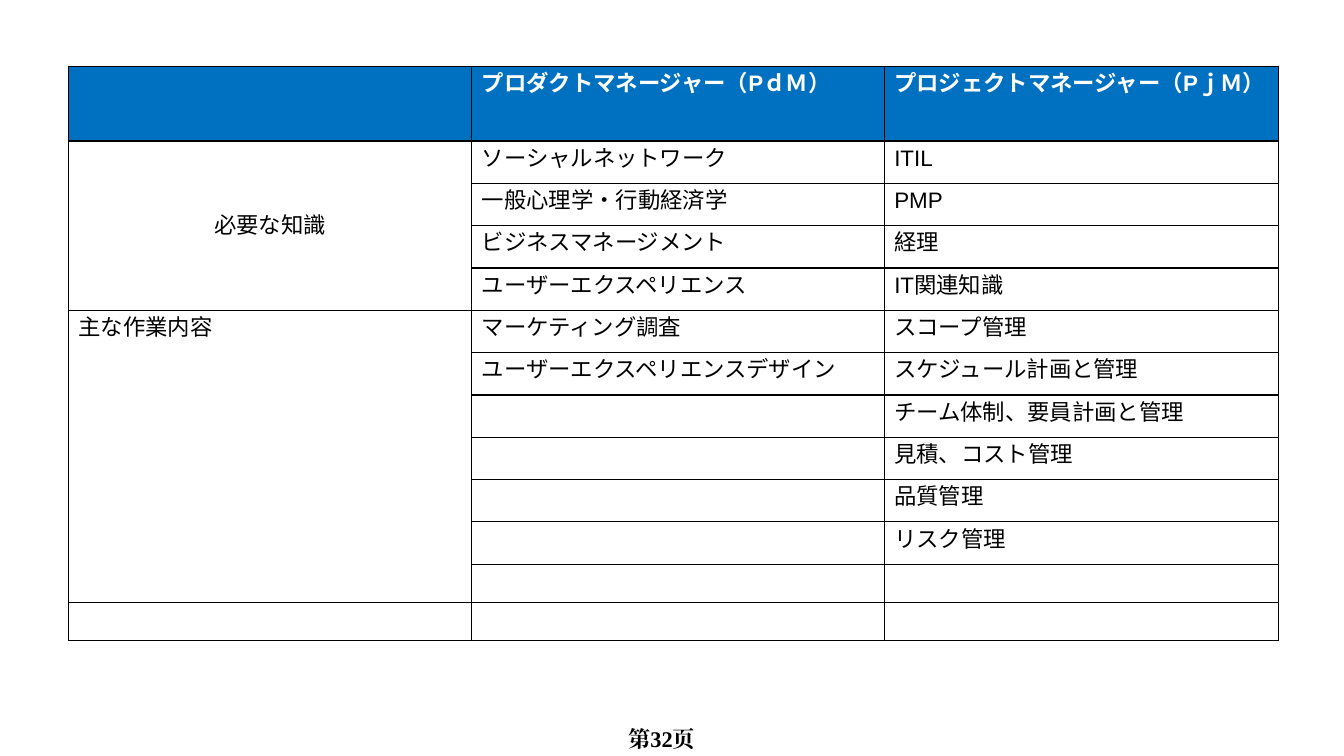
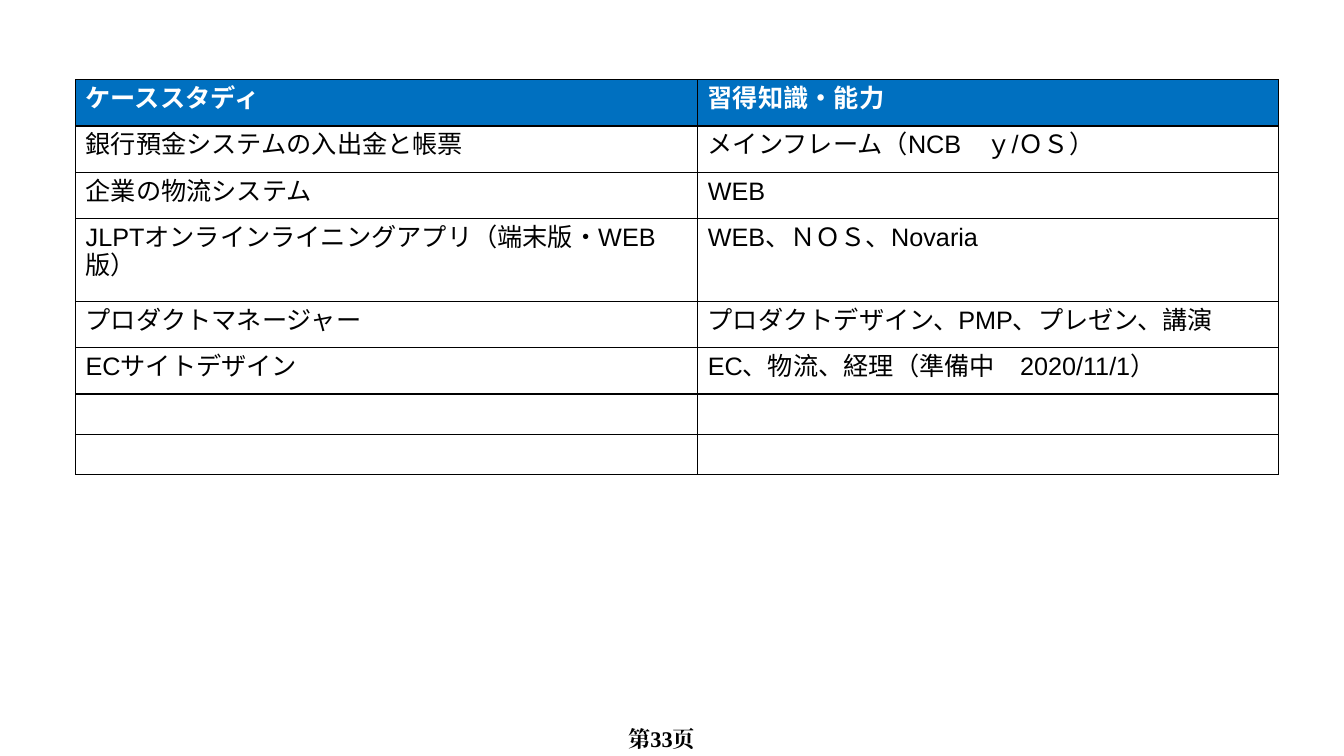
"""Build two table slides on manager roles and case studies."""
import pptx
import pptx.dml.color
import pptx.enum.text
import pptx.oxml
import pptx.oxml.ns
import pptx.util
from lxml import etree

Inches = pptx.util.Inches
BLUE = pptx.dml.color.RGBColor(0x00, 0x70, 0xC0)
BLACK = pptx.dml.color.RGBColor(0x00, 0x00, 0x00)
WHITE = pptx.dml.color.RGBColor(0xFF, 0xFF, 0xFF)
SANS = "Arial"
SERIF = "Times New Roman"

ROLES = [
    ("", "プロダクトマネージャー（PｄＭ）", "プロジェクトマネージャー（PｊＭ）"),
    ("必要な知識", "ソーシャルネットワーク", "ITIL"),
    ("", "一般心理学・行動経済学", "PMP"),
    ("", "ビジネスマネージメント", "経理"),
    ("", "ユーザーエクスペリエンス", "IT関連知識"),
    ("主な作業内容", "マーケティング調査", "スコープ管理"),
    ("", "ユーザーエクスペリエンスデザイン", "スケジュール計画と管理"),
    ("", "", "チーム体制、要員計画と管理"),
    ("", "", "見積、コスト管理"),
    ("", "", "品質管理"),
    ("", "", "リスク管理"),
    ("", "", ""),
    ("", "", ""),
]
CASES = [
    ("ケーススタディ", "習得知識・能力"),
    ("銀行預金システムの入出金と帳票", "メインフレーム（NCB　ｙ/ＯＳ）"),
    ("企業の物流システム", "WEB"),
    ("JLPTオンラインライニングアプリ（端末版・WEB版）", "WEB、ＮＯＳ、Novaria"),
    ("プロダクトマネージャー", "プロダクトデザイン、PMP、プレゼン、講演"),
    ("ECサイトデザイン", "EC、物流、経理（準備中　2020/11/1）"),
    ("", ""),
    ("", ""),
]
ROLE_ROWS = [0.74] + [0.42] * 10 + [0.38] * 2
CASE_ROWS = [0.46] * 3 + [0.82] + [0.46] * 2 + [0.4] * 2


def write(frame, text, size=16, face=SANS, color=BLACK, bold=False, align=None):
    """Put formatted text into the first paragraph of a frame."""
    para = frame.paragraphs[0]
    para.alignment = align
    if not text:
        tag = pptx.oxml.ns.qn("a:endParaRPr")
        etree.SubElement(para._p, tag, sz=str(size * 100))
        return
    run = para.add_run()
    run.text = text
    font = run.font
    font.size = pptx.util.Pt(size)
    font.name = face
    font.bold = bold
    font.color.rgb = color
    tag = pptx.oxml.ns.qn("a:ea")
    etree.SubElement(run._r.get_or_add_rPr(), tag, typeface=face)


def edge(cell, width=1):
    """Draw a black line on each side of a cell."""
    props = cell._tc.get_or_add_tcPr()
    space = pptx.oxml.ns.nsdecls("a")
    for side in "LRTB":
        props.append(pptx.oxml.parse_xml(
            f'<a:ln{side} {space} w="{pptx.util.Pt(width)}">'
            f'<a:solidFill><a:srgbClr val="{BLACK}"/></a:solidFill></a:ln{side}>'))


def grid(slide, rows, left, top, widths, heights, size):
    """Add a ruled table with a blue header row."""
    frame = slide.shapes.add_table(
        len(rows), len(widths), Inches(left), Inches(top),
        Inches(sum(widths)), Inches(sum(heights)))
    table = frame.table
    table.horz_banding = False
    for col, width in zip(table.columns, widths):
        col.width = Inches(width)
    for i, (row, height) in enumerate(zip(rows, heights)):
        table.rows[i].height = Inches(height)
        for j, text in enumerate(row):
            cell = table.cell(i, j)
            edge(cell)
            head = i == 0
            if head:
                cell.fill.solid()
                cell.fill.fore_color.rgb = BLUE
            else:
                cell.fill.background()
            write(cell.text_frame, text, size=size, bold=head,
                  color=WHITE if head else BLACK)
    return table


def span(table, first, last):
    """Merge rows of the first column and return the merged cell."""
    cell = table.cell(first, 0)
    cell.merge(table.cell(last, 0))
    return cell


def page(deck, number):
    """Add a blank slide with its page number."""
    slide = deck.slides.add_slide(deck.slide_layouts[6])
    box = slide.shapes.add_textbox(
        Inches(6.23), Inches(7.19), Inches(0.86), Inches(0.25))
    frame = box.text_frame
    frame.word_wrap = True
    frame.auto_size = pptx.enum.text.MSO_AUTO_SIZE.SHAPE_TO_FIT_TEXT
    frame.margin_left = frame.margin_right = 0
    frame.margin_top = frame.margin_bottom = 0
    write(frame, f"第{number}页", face=SERIF, bold=True)
    return slide


def main():
    """Build and save the deck."""
    deck = pptx.Presentation()
    deck.slide_width = Inches(13.33)
    deck.slide_height = Inches(7.5)

    table = grid(page(deck, 32), ROLES, 0.68, 0.66, (4, 4.09, 3.91),
                 ROLE_ROWS, 16)
    skills = span(table, 1, 4)
    skills.vertical_anchor = pptx.enum.text.MSO_ANCHOR.MIDDLE
    skills.text_frame.paragraphs[0].alignment = pptx.enum.text.PP_ALIGN.CENTER
    span(table, 5, 11)

    grid(page(deck, 33), CASES, 0.75, 0.79, (6.17, 5.76), CASE_ROWS, 18)
    deck.save("out.pptx")


if __name__ == "__main__":
    main()
